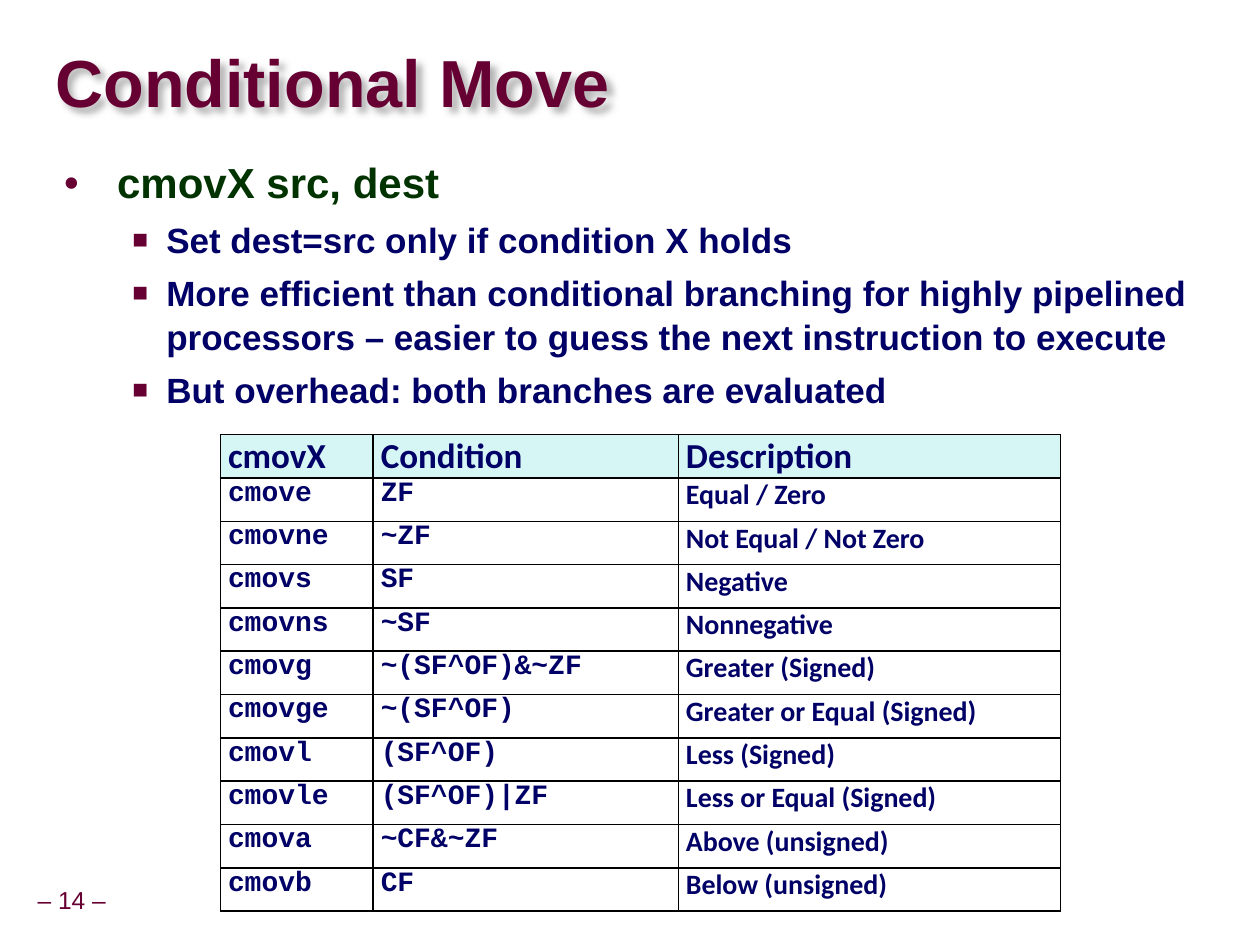
from lxml import etree
from pptx import Presentation
from pptx.dml.color import RGBColor
from pptx.enum import text
from pptx.oxml import ns
from pptx.util import Pt

MAROON = RGBColor(0x66, 0x00, 0x33)
GREEN = RGBColor(0x00, 0x33, 0x00)
NAVY = RGBColor(0x00, 0x00, 0x66)
AQUA = RGBColor(0xD6, 0xF5, 0xF5)
BLACK = RGBColor(0x00, 0x00, 0x00)
SHADOW = RGBColor(0x80, 0x80, 0x80)

BULLETS = [
    (0, "cmovX src, dest"),
    (1, "Set dest=src only if condition X holds"),
    (1, "More efficient than conditional branching for highly pipelined "
        "processors – easier to guess the next instruction to execute"),
    (1, "But overhead: both branches are evaluated"),
]
# Per level: size, colour, left indent, hanging indent, line spacing,
# space before, bullet character, bullet size in percent
LEVELS = [
    (24, GREEN, 30.24, 30.24, 0.95, 12, "•", 100),
    (20, NAVY, 58.32, 19.44, 1.05, 5, "■", 75),
]

HEADER = ("cmovX", "Condition", "Description")
EQUALITY_MOVES = [
    ("cmove", "ZF", "Equal / Zero"),
    ("cmovne", "~ZF", "Not Equal / Not Zero"),
    ("cmovs", "SF", "Negative"),
    ("cmovns", "~SF", "Nonnegative"),
]
ORDER_MOVES = [
    ("cmovg", "~(SF^OF)&~ZF", "Greater (Signed)"),
    ("cmovge", "~(SF^OF)", "Greater or Equal (Signed)"),
    ("cmovl", "(SF^OF)", "Less (Signed)"),
    ("cmovle", "(SF^OF)|ZF", "Less or Equal (Signed)"),
    ("cmova", "~CF&~ZF", "Above (unsigned)"),
    ("cmovb", "CF", "Below (unsigned)"),
]
COLUMNS = (87.3, 174.4, 218.3)
ROW_HEIGHT = 24.75


def add_xml(parent, tag, **attrs):
    return etree.SubElement(parent, ns.qn(tag),
                            {k: str(v) for k, v in attrs.items()})


def place(sp, x, y, w, h):
    sp.left, sp.top, sp.width, sp.height = Pt(x), Pt(y), Pt(w), Pt(h)


def set_margins(frame, x, y):
    frame.margin_left = frame.margin_right = Pt(x)
    frame.margin_top = frame.margin_bottom = Pt(y)


def style(p, name, size, color, bold=True):
    for r in p.runs:
        r.font.name, r.font.size, r.font.bold = name, Pt(size), bold
        r.font.color.rgb = color


def add_title(s, x, y, w, h):
    sp = s.shapes.title
    place(sp, x, y, w, h)
    tf = sp.text_frame
    tf.text = "Conditional Move"
    tf.auto_size = text.MSO_AUTO_SIZE.NONE
    tf.vertical_anchor = text.MSO_ANCHOR.MIDDLE
    set_margins(tf, 0, 0)
    p = tf.paragraphs[0]
    p.alignment = text.PP_ALIGN.LEFT
    p.line_spacing = 0.87
    style(p, "Arial", 38, MAROON)
    # Soft shadow behind the letters
    effects = add_xml(sp.element.spPr, "a:effectLst")
    shadow = add_xml(effects, "a:outerShdw", blurRad=Pt(4), dist=Pt(4),
                     dir=2700000, algn="tl", rotWithShape=0)
    color = add_xml(shadow, "a:srgbClr", val=SHADOW)
    add_xml(color, "a:alpha", val=60000)


def add_bullets(s, x, y, w, h):
    sp = s.placeholders[1]
    place(sp, x, y, w, h)
    tf = sp.text_frame
    tf.auto_size = text.MSO_AUTO_SIZE.NONE
    set_margins(tf, 7.2, 3.6)
    tf.text = "\n".join(line for _, line in BULLETS)
    for p, (level, _) in zip(tf.paragraphs, BULLETS):
        size, color, left, hang, spacing, before, char, scale = LEVELS[level]
        p.level = level
        p.line_spacing, p.space_before = spacing, Pt(before)
        style(p, "Arial", size, color)
        pPr = p._p.get_or_add_pPr()
        pPr.set("marL", str(Pt(left)))
        pPr.set("indent", str(-Pt(hang)))
        add_xml(add_xml(pPr, "a:buClr"), "a:srgbClr", val=MAROON)
        add_xml(pPr, "a:buSzPct", val=scale * 1000)
        add_xml(pPr, "a:buFont", typeface="Arial")
        add_xml(pPr, "a:buChar", char=char)


def add_borders(cell):
    tcPr = cell._tc.get_or_add_tcPr()
    for side in ("a:lnL", "a:lnR", "a:lnT", "a:lnB"):
        ln = add_xml(tcPr, side, w=Pt(1))
        add_xml(add_xml(ln, "a:solidFill"), "a:srgbClr", val=BLACK)


def add_moves(s, x, y, rows):
    """Draw one block of the table and return its bottom edge."""
    height = ROW_HEIGHT * len(rows)
    table = s.shapes.add_table(len(rows), len(COLUMNS), Pt(x), Pt(y),
                               Pt(sum(COLUMNS)), Pt(height)).table
    table.first_row = table.horz_banding = False
    for column, width in zip(table.columns, COLUMNS):
        column.width = Pt(width)
    for i, row in enumerate(rows):
        table.rows[i].height = Pt(ROW_HEIGHT)
        is_header = row is HEADER
        for j, value in enumerate(row):
            cell = table.cell(i, j)
            cell.text = value
            set_margins(cell, 4.32, 0)
            name = "Calibri" if is_header or j == 2 else "Courier New"
            style(cell.text_frame.paragraphs[0], name,
                  20 if is_header else 16, NAVY)
            add_borders(cell)
            if is_header:
                cell.fill.solid()
                cell.fill.fore_color.rgb = AQUA
            else:
                cell.fill.background()
    return y + height


def add_page_number(s, x, y, w, h):
    tf = s.shapes.add_textbox(Pt(x), Pt(y), Pt(w), Pt(h)).text_frame
    tf.text = "– 14 –"
    tf.word_wrap = False
    tf.vertical_anchor = text.MSO_ANCHOR.MIDDLE
    set_margins(tf, 3.6, 3.6)
    p = tf.paragraphs[0]
    p.alignment = text.PP_ALIGN.CENTER
    p.line_spacing = 0.9
    style(p, "Arial", 14, MAROON, bold=False)


def main():
    prs = Presentation()
    prs.slide_width, prs.slide_height = Pt(720), Pt(540)
    s = prs.slides.add_slide(prs.slide_layouts[1])
    add_page_number(s, 17.3, 504, 47.5, 22.3)
    add_title(s, 31.7, 26.6, 645.8, 45.4)
    add_bullets(s, 29.5, 87.8, 666, 95.8)
    # The second block continues directly below the first
    bottom = add_moves(s, 126, 248.4, [HEADER] + EQUALITY_MOVES)
    add_moves(s, 126, bottom, ORDER_MOVES)
    prs.save("out.pptx")


if __name__ == "__main__":
    main()
